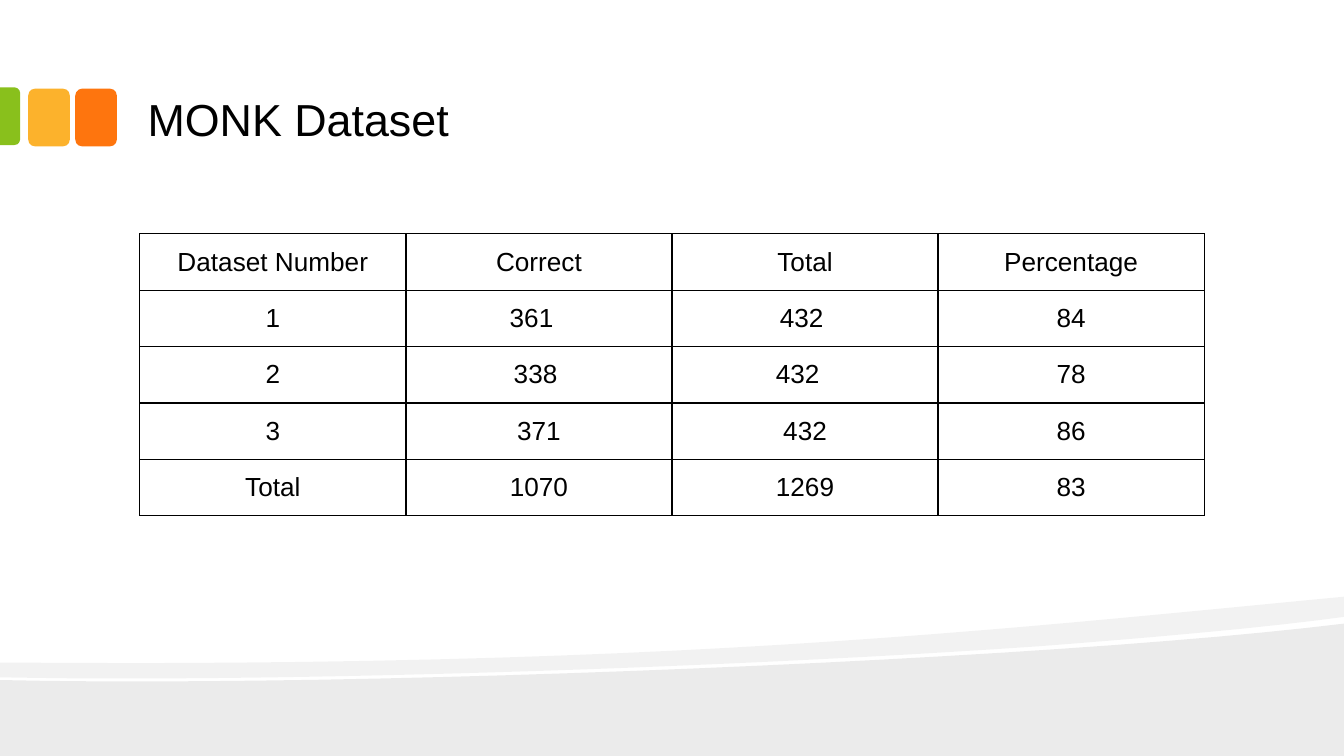
from lxml import etree
from pptx import Presentation
from pptx.dml.color import RGBColor
from pptx.enum.shapes import MSO_SHAPE
from pptx.enum.text import MSO_ANCHOR, PP_ALIGN
from pptx.oxml import parse_xml
from pptx.oxml.ns import nsdecls, qn
from pptx.util import Inches, Pt

ROUND = MSO_SHAPE.ROUNDED_RECTANGLE
TOP_ROUND = MSO_SHAPE.ROUND_2_SAME_RECTANGLE
BOTTOM = MSO_ANCHOR.BOTTOM
CENTER = PP_ALIGN.CENTER
BLACK = "000000"


def paint(shape, color):
    shape.shadow.inherit = False
    shape.fill.solid()
    shape.fill.fore_color.rgb = RGBColor.from_string(color)
    shape.line.fill.background()


def curve(a, b, c, d, steps=24):
    """Points on a cubic curve, after its start a."""
    points = []
    for i in range(1, steps + 1):
        t = i / steps
        u = 1 - t
        points.append(tuple(
            u**3 * p + 3 * u * u * t * q + 3 * u * t * t * r + t**3 * s
            for p, q, r, s in zip(a, b, c, d)))
    return points


# Slide in 16:9
prs = Presentation()
prs.slide_width = Inches(10)
prs.slide_height = Inches(10 * 9 / 16)
slide = prs.slides.add_slide(prs.slide_layouts[6])
shapes = slide.shapes

# Waves at the foot: outline and opacity in percent
low = [(10, 4.64), (10, 5.63), (0, 5.63), (0, 5.06)]
low += curve((0, 5.06), (2.64, 5.12), (7.82, 4.91), (10, 4.64))
band = [(10, 4.44), (10, 4.59)]
band += curve((10, 4.59), (9.42, 4.67), (8.62, 4.74), (7.72, 4.81))
band += curve((7.72, 4.81), (5.23, 4.98), (1.93, 5.08), (0, 5.04))
band += [(0, 4.93)]
band += curve((0, 4.93), (4.89, 4.97), (7.28, 4.7), (10, 4.44))
for points, opacity in ((low, 8), (band, 5)):
    spots = [(Inches(x), Inches(y)) for x, y in points]
    pen = shapes.build_freeform(*spots[0])
    pen.add_line_segments(spots[1:])
    wave = pen.convert_to_shape()
    paint(wave, BLACK)
    tint = wave.fill._xPr.find(qn("a:solidFill"))[0]
    etree.SubElement(tint, qn("a:alpha")).set("val", str(opacity * 1000))

# Coloured tabs beside the title
for left, color in ((0.56, "FE750E"), (0.21, "FCB22C")):
    tab = shapes.add_shape(ROUND, Inches(left), Inches(0.66),
                           Inches(0.31), Inches(0.43))
    paint(tab, color)
edge = shapes.add_shape(TOP_ROUND, Inches(-0.14), Inches(0.79),
                        Inches(0.43), Inches(0.15))
edge.rotation = 90
edge.adjustments[0] = 0.29
paint(edge, "89C01C")

# Title
box = shapes.add_textbox(Inches(1), Inches(0.12), Inches(8), Inches(1.06))
frame = box.text_frame
frame.word_wrap = True
frame.vertical_anchor = BOTTOM
frame.margin_left = frame.margin_right = Inches(0.1)
frame.margin_top = frame.margin_bottom = Inches(0.1)
frame.text = "MONK Dataset"
font = frame.paragraphs[0].runs[0].font
font.name = "Arial"
font.size = Pt(24)
font.color.rgb = RGBColor.from_string(BLACK)

# Results table
rows = [
    ("Dataset Number", "Correct", "Total", "Percentage"),
    ("1", "361", "432", "84"),
    ("2", "338", "432", "78"),
    ("3", "371", "432", "86"),
    ("Total", "1070", "1269", "83"),
]
# Extra right margin of the cells set slightly left of centre
extra = {(1, 1): 0.11, (1, 2): 0.05, (2, 1): 0.05, (2, 2): 0.11}
table = shapes.add_table(5, 4, Inches(1.04), Inches(1.74),
                         Inches(7.92), Inches(2.1)).table
table.first_row = table.horz_banding = False
for col in table.columns:
    col.width = Inches(1.98)
for r, row in enumerate(rows):
    table.rows[r].height = Inches(0.42)
    for c, text in enumerate(row):
        cell = table.cell(r, c)
        cell.margin_left = cell.margin_top = Inches(0.1)
        cell.margin_bottom = Inches(0.08)
        cell.margin_right = Inches(0.1 + extra.get((r, c), 0))
        para = cell.text_frame.paragraphs[0]
        para.text = text
        para.alignment = CENTER
        font = para.runs[0].font
        font.name = "Arial"
        font.size = Pt(14)
        font.color.rgb = RGBColor.from_string(BLACK)
        props = cell._tc.get_or_add_tcPr()
        for side in ("lnL", "lnR", "lnT", "lnB"):
            props.append(parse_xml(
                f'<a:{side} {nsdecls("a")} w="{Pt(0.75)}"><a:solidFill>'
                f'<a:srgbClr val="{BLACK}"/></a:solidFill></a:{side}>'))
        cell.fill.background()

prs.save("out.pptx")
